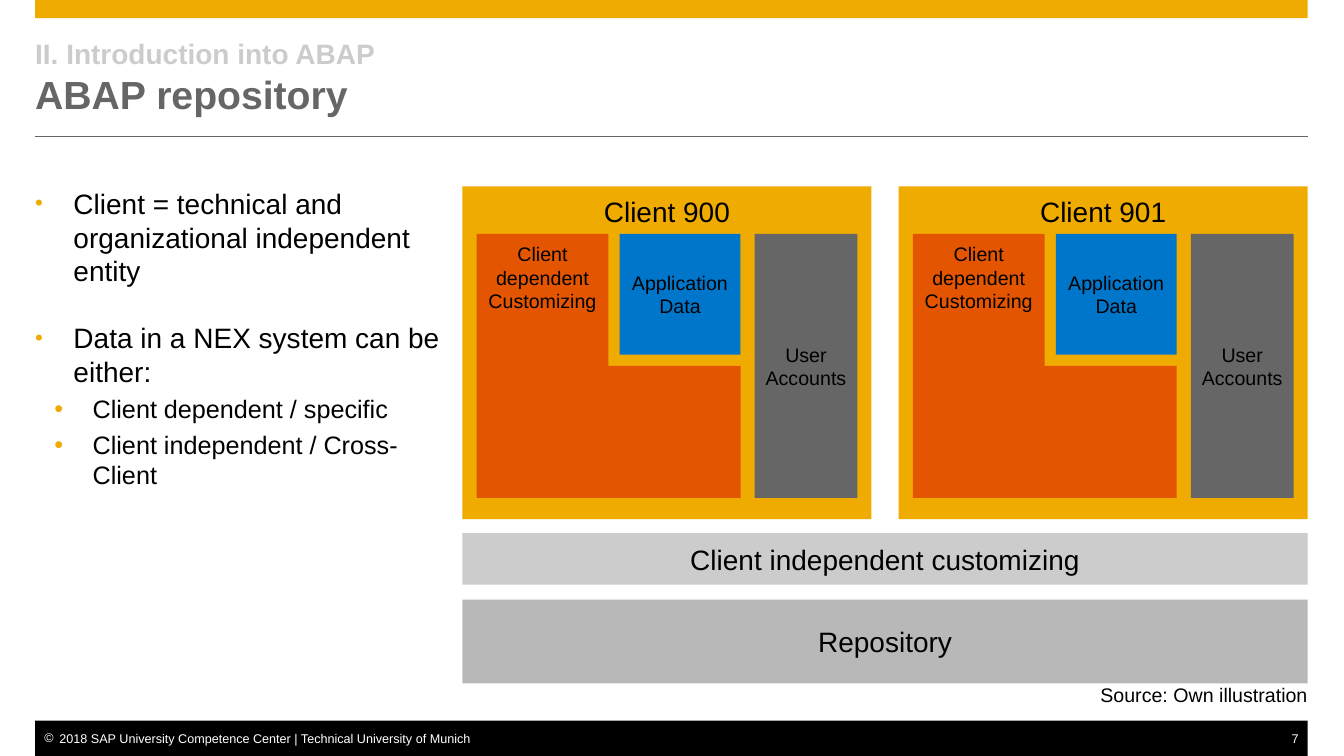
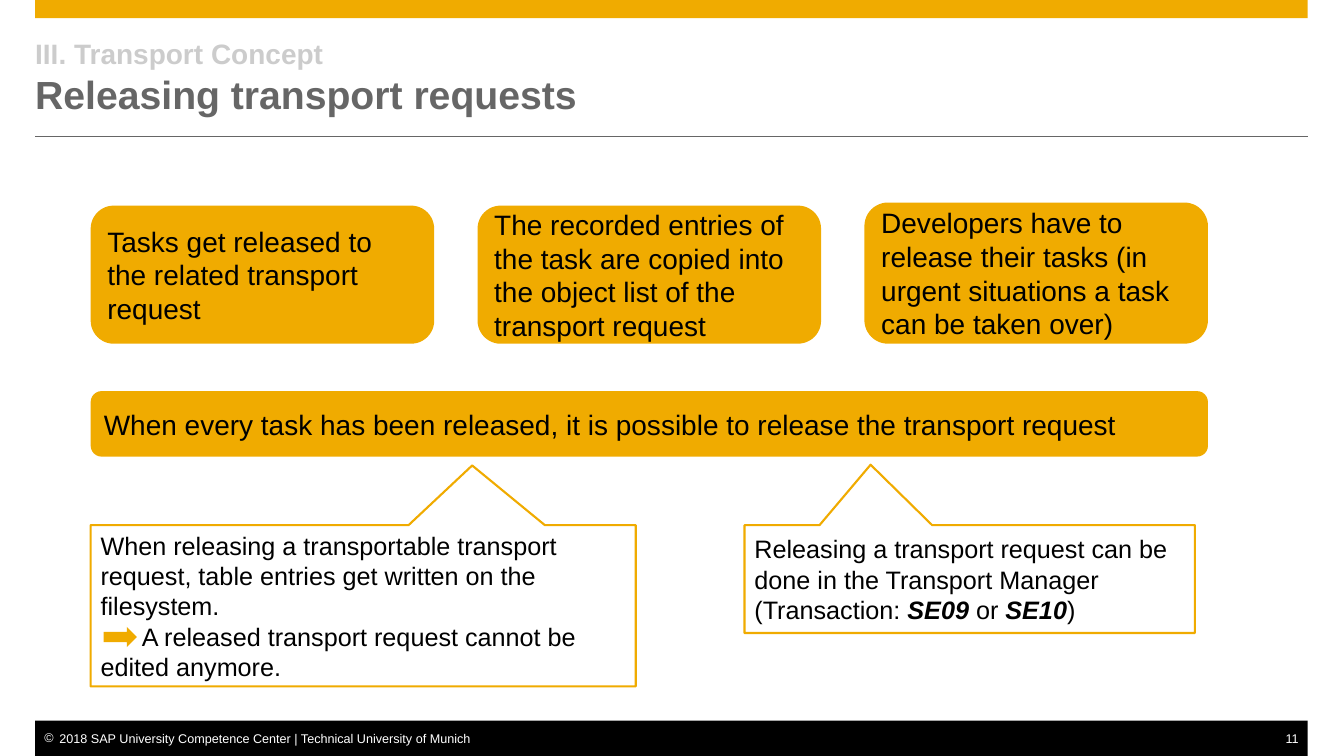
"""Build two lecture slides on the ABAP repository and on transport requests."""
from lxml import etree
from pptx import Presentation
from pptx import util as u
from pptx.dml.color import RGBColor
from pptx.enum import shapes, text
from pptx.oxml.ns import qn

SLIDE_W, SLIDE_H = 13.34, 7.5
LEFT, WIDTH = 0.35, 12.63
RIGHT = LEFT + WIDTH
TOP = 1.85
FONT = "Arial"
GOLD, ORANGE, BLUE, GRAY = "F0AB00", "E35500", "0076CB", "666666"
SILVER, STONE, BLACK, WHITE = "CCCCCC", "B8B8B8", "000000", "FFFFFF"
KIND, ANCHOR, ALIGN = shapes.MSO_SHAPE, text.MSO_ANCHOR, text.PP_ALIGN
PADDED, FLUSH = (0.1, 0.08, 0.1, 0.08), (0, 0, 0, 0)


def paint(color_format, hex_color):
    """Give a fill or font colour format a hex colour."""
    color_format.rgb = RGBColor.from_string(hex_color)


def put(page, kind, at, lines=(), fill=None, outline=None, size=20, color=BLACK,
        anchor=ANCHOR.MIDDLE, align=ALIGN.LEFT, insets=PADDED):
    """Place a shape, or a text box if kind is None; *starred* spans are bold italic."""
    place = [u.Inches(length) for length in at]
    box = page.shapes.add_shape(kind, *place) if kind else page.shapes.add_textbox(*place)
    if kind:
        box.shadow.inherit = False
        box.fill.solid()
        paint(box.fill.fore_color, fill)
        box.line.fill.background()
    if outline:
        box.line.fill.solid()
        paint(box.line.color, outline)
        box.line.width = u.Pt(1.5)
    frame = box.text_frame
    frame.word_wrap = True
    frame.vertical_anchor = anchor
    frame.margin_left, frame.margin_top, frame.margin_right, frame.margin_bottom = [
        u.Inches(inset) for inset in insets]
    frame.text = "\n".join(lines).replace("*", "")
    for para, line in zip(frame.paragraphs, lines):
        para.text = ""
        para.alignment = align
        for index, part in enumerate(line.split("*")):
            span = para.add_run()
            span.text = part
            span.font.name, span.font.size = FONT, u.Pt(size)
            span.font.bold = span.font.italic = index % 2 == 1
            paint(span.font.color, color)
    return box


deck = Presentation()
deck.slide_width, deck.slide_height = u.Inches(SLIDE_W), u.Inches(SLIDE_H)
pages, bulleted = [], []

for chapter, title, number in (
        ("II. Introduction into ABAP", "ABAP repository", "7"),
        ("III. Transport Concept", "Releasing transport requests", "11")):
    page = deck.slides.add_slide(deck.slide_layouts[6])
    pages.append(page)
    put(page, KIND.RECTANGLE, (LEFT, 0, WIDTH, 0.18), fill=GOLD)
    put(page, KIND.RECTANGLE, (LEFT, 7.15, WIDTH, 0.35), fill=BLACK)
    rule = page.shapes.add_connector(
        shapes.MSO_CONNECTOR.STRAIGHT, *[u.Inches(n) for n in (LEFT, 1.35, RIGHT, 1.35)])
    paint(rule.line.color, GRAY)
    rule.line.width = u.Pt(0.5)
    etree.SubElement(rule._element.spPr, qn("a:effectLst"))

    heading = put(page, None, (LEFT, 0.35, WIDTH, 0.83), (chapter, title), insets=FLUSH)
    for para, size, color in zip(heading.text_frame.paragraphs, (20, 28), (SILVER, GRAY)):
        span = para.runs[0]
        span.font.size, span.font.bold = u.Pt(size), True
        paint(span.font.color, color)

    notice = put(page, None, (LEFT, 7.25, WIDTH / 2, 0.15),
                 ("2018 SAP University Competence Center | Technical University of Munich",),
                 size=9, color=WHITE, anchor=ANCHOR.TOP, insets=(0.09, 0, 0, 0))
    bulleted.append((notice.text_frame.paragraphs[0], "©", WHITE, 100, 0.15, 0.15))
    put(page, None, (RIGHT - 1, 7.25, 1, 0.15), (number,), size=9, color=WHITE,
        anchor=ANCHOR.TOP, align=ALIGN.RIGHT, insets=(0, 0, 0.09, 0))

repository, releasing = pages

points = put(repository, None, (LEFT, TOP, 4.1, 4.8), (
    "Client = technical and organizational independent entity",
    "Data in a NEX system can be either:",
    "Client dependent / specific",
    "Client independent / Cross-Client"), anchor=ANCHOR.TOP, insets=FLUSH)
for para, size, before, scale, margin in zip(
        points.text_frame.paragraphs, (20, 20, 18, 18), (0, 24, 4, 4),
        (80, 80, 100, 100), (0.38, 0.38, 0.57, 0.57)):
    para.space_before = u.Pt(before)
    para.runs[0].font.size = u.Pt(size)
    bulleted.append((para, "•", GOLD, scale, margin, 0.38))

for para, mark, color, scale, margin, hang in bulleted:
    props = para._p.get_or_add_pPr()
    props.set("marL", str(u.Inches(margin)))
    props.set("indent", str(-u.Inches(hang)))
    tint = etree.SubElement(props, qn("a:buClr"))
    etree.SubElement(tint, qn("a:srgbClr"), val=color)
    etree.SubElement(props, qn("a:buSzPct"), val=str(scale * 1000))
    etree.SubElement(props, qn("a:buFont"), typeface=FONT)
    etree.SubElement(props, qn("a:buChar"), char=mark)

diagram_x, client_w, gap = 4.59, 4.06, 0.14
diagram_w = RIGHT - diagram_x
inner_y, inner_size, data_size = 2.32, 2.62, 1.2
for client, client_x in (("Client 900", diagram_x), ("Client 901", RIGHT - client_w)):
    inner_x = client_x + gap
    inner_right = inner_x + inner_size
    for kind, at, label, fill, size, anchor in (
            (KIND.RECTANGLE, (client_x, TOP, client_w, 3.3), client, GOLD, 20, ANCHOR.TOP),
            (KIND.CORNER, (inner_x, inner_y, inner_size, inner_size),
             "Client dependent Customizing", ORANGE, 14, ANCHOR.TOP),
            (KIND.RECTANGLE, (inner_right - data_size, inner_y, data_size, data_size),
             "Application Data", BLUE, 14, ANCHOR.MIDDLE),
            (KIND.RECTANGLE, (inner_right + gap, inner_y, 1.02, inner_size),
             "User Accounts", GRAY, 14, ANCHOR.MIDDLE)):
        put(repository, kind, at, (label,), fill, size=size, anchor=anchor, align=ALIGN.CENTER)

for label, y, height, fill in (("Client independent customizing", 5.29, 0.51, SILVER),
                               ("Repository", 5.95, 0.83, STONE)):
    put(repository, KIND.RECTANGLE, (diagram_x, y, diagram_w, height), (label,), fill,
        align=ALIGN.CENTER)
put(repository, None, (diagram_x, 6.78, diagram_w, 0.24), ("Source: Own illustration",),
    size=14, anchor=ANCHOR.TOP, align=ALIGN.RIGHT, insets=FLUSH)

steps_x, step_w, step_pitch, steps_bottom = 0.9, 3.41, 3.84, 3.41
for column, (label, height) in enumerate((
        ("Tasks get released to the related transport request", 1.37),
        ("The recorded entries of the task are copied into the object list of the "
         "transport request", 1.37),
        ("Developers have to release their tasks (in urgent situations a task can be "
         "taken over)", 1.4))):
    put(releasing, KIND.ROUNDED_RECTANGLE,
        (steps_x + column * step_pitch, steps_bottom - height, step_w, height), (label,), GOLD)
put(releasing, KIND.ROUNDED_RECTANGLE, (steps_x, 3.88, 2 * step_pitch + step_w, 0.65),
    ("When every task has been released, it is possible to release the transport request",),
    GOLD)

callouts = []
for x, width, height, tip, lines in (
        (steps_x, 5.41, 1.6, (0.2, -0.87), (
            "When releasing a transportable transport request, table entries get written "
            "on the filesystem.",
            "A released transport request cannot be edited anymore.")),
        (7.39, 4.47, 1.07, (-0.22, -1.06), (
            "Releasing a transport request can be done in the Transport Manager "
            "(Transaction: *SE09* or *SE10*)",))):
    callout = put(releasing, KIND.RECTANGULAR_CALLOUT, (x, 5.21, width, height), lines,
                  WHITE, GOLD, size=18)
    callout.adjustments[0], callout.adjustments[1] = tip
    callouts.append(callout)
conclusion = callouts[0].text_frame.paragraphs[1]
conclusion._p.get_or_add_pPr().set("indent", str(u.Inches(0.41)))
put(releasing, KIND.RIGHT_ARROW, (1.03, 6.22, 0.33, 0.2), fill=GOLD)

deck.save("out.pptx")
